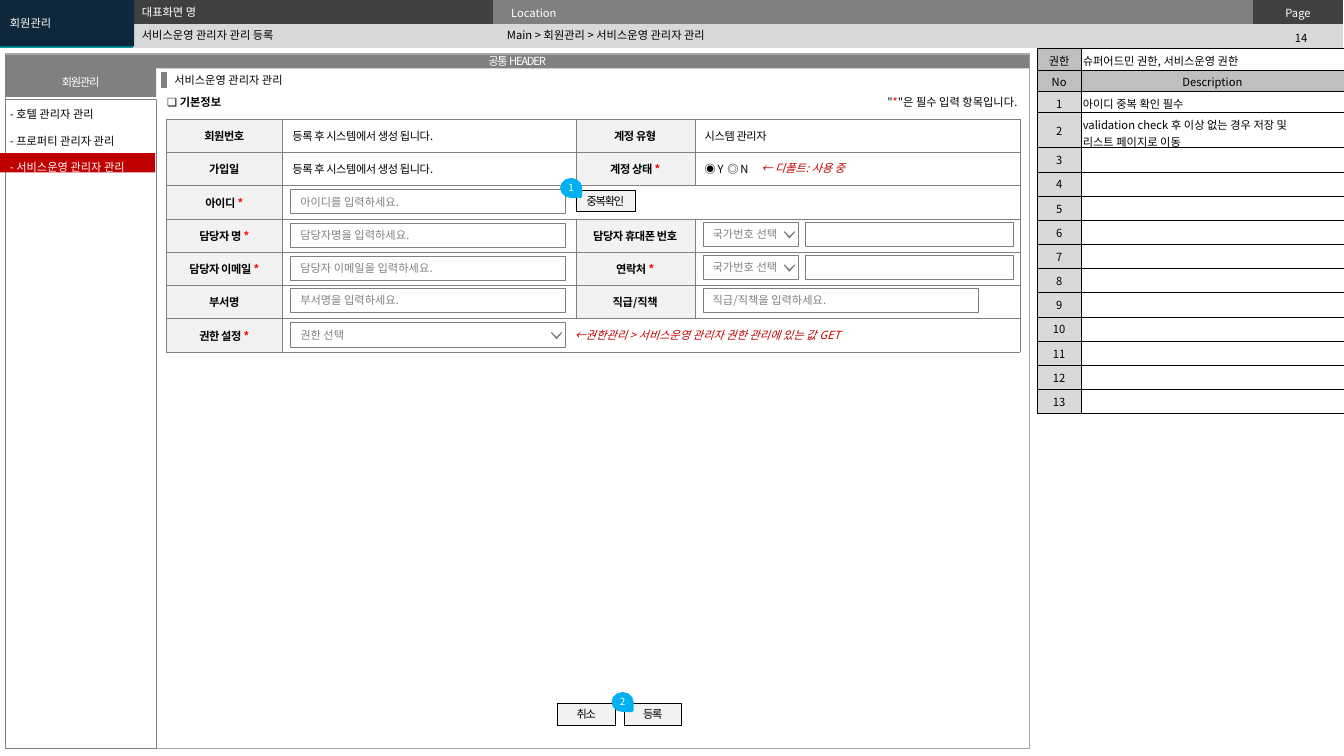
from dataclasses import dataclass
from lxml.etree import SubElement
from pptx import Presentation
from pptx.dml.color import RGBColor
from pptx.enum.shapes import MSO_CONNECTOR as Line, MSO_SHAPE as Shape
from pptx.enum.text import MSO_ANCHOR as Anchor, PP_ALIGN as Align
from pptx.oxml.ns import qn
from pptx.util import Inches, Pt


@dataclass(frozen=True)
class Theme:
    font: str = "Noto Sans CJK KR"
    size: float = 8
    badge_size: float = 7
    black: str = "000000"
    white: str = "FFFFFF"
    navy: str = "0E273B"
    teal: str = "009CA6"
    dark: str = "404040"
    chevron: str = "5F5F5F"
    gray: str = "808080"
    frame: str = "A6A6A6"
    heading: str = "BFBFBF"
    light: str = "D9D9D9"
    pale: str = "F2F2F2"
    red: str = "C00000"
    star: str = "FF0000"
    sky: str = "00B0F0"
    plain_table: str = "{2D5ABB26-0587-4C30-8999-92F81FD0307C}"


THEME = Theme()
WIDE = (0.1, 0.05, 0.1, 0.05)
NONE = (0, 0, 0, 0)


def write(frame, text, size=THEME.size, color=THEME.black, last_color=None, bold=False,
          italic=False, align=Align.LEFT, spacing=0, line_spacing=None):
    """Fill a text frame line by line; each asterisk is set in the star colour."""
    lines = text.split("\n")
    for number, line in enumerate(lines):
        para = frame.paragraphs[0] if number == 0 else frame.add_paragraph()
        para.alignment = align
        if line_spacing:
            para.line_spacing = line_spacing
        base = last_color if last_color and number == len(lines) - 1 else color
        for part in line.replace("*", "\0*\0").split("\0"):
            if not part:
                continue
            run = para.add_run()
            run.text = part
            font = run.font
            font.size, font.bold, font.italic = Pt(size), bold, italic
            font.color.rgb = RGBColor.from_string(THEME.star if part == "*" else base)
            font.name = THEME.font
            props = run._r.get_or_add_rPr()
            SubElement(props, qn("a:ea"), typeface=THEME.font)
            if spacing:
                props.set("spc", str(round(spacing * 100)))
        if not line:
            SubElement(para._p, qn("a:endParaRPr"), sz=str(round(size * 100)))


class Screen:
    def __init__(self, slide, theme):
        self.slide, self.theme = slide, theme

    def paint(self, shape, fill, line, weight=0.25):
        shape.shadow.inherit = False
        for part, color in ((shape.fill, fill), (shape.line.fill, line)):
            if color:
                part.solid()
                part.fore_color.rgb = RGBColor.from_string(color)
            else:
                part.background()
        if line:
            shape.line.width = Pt(weight)

    def fit(self, frame, insets, anchor):
        frame.word_wrap = True
        frame.vertical_anchor = anchor
        (frame.margin_left, frame.margin_top,
         frame.margin_right, frame.margin_bottom) = map(Inches, insets)

    def label(self, text, x, y, w, h=0.24, anchor=Anchor.TOP, **style):
        frame = self.slide.shapes.add_textbox(*map(Inches, (x, y, w, h))).text_frame
        self.fit(frame, WIDE, anchor)
        write(frame, text, **style)

    def box(self, x, y, w, h, text="", fill=None, line=None, insets=WIDE, **style):
        shape = self.slide.shapes.add_shape(Shape.RECTANGLE, *map(Inches, (x, y, w, h)))
        self.paint(shape, fill, line)
        self.fit(shape.text_frame, insets, Anchor.MIDDLE)
        if text:
            write(shape.text_frame, text, **style)

    def field(self, x, y, w=2.73, hint=""):
        self.box(x, y, w, 0.24, hint, self.theme.white, self.theme.gray, color=self.theme.gray)

    def select(self, x, y, w, hint):
        self.field(x, y, w, hint)
        tip_x, tip_y = x + w - 0.09, y + 0.12
        arms = [(0.05, -0.02), (0, 0.03), (-0.05, -0.02), (0, 0.04)]
        points = [(Inches(tip_x + dx), Inches(tip_y + dy)) for dx, dy in arms]
        outline = self.slide.shapes.build_freeform(*points[0])
        outline.add_line_segments(points[1:], close=True)
        self.paint(outline.convert_to_shape(), self.theme.chevron, self.theme.gray, 0.75)

    def button(self, text, x, y, w):
        self.box(x, y, w, 0.21, text, self.theme.pale, self.theme.black, NONE,
                 align=Align.CENTER, spacing=-0.9)

    def badge(self, number, x, y):
        drop = self.slide.shapes.add_shape(Shape.TEAR, *map(Inches, (x, y, 0.17, 0.19)))
        drop.rotation = 90
        self.paint(drop, self.theme.sky, self.theme.sky, 2)
        self.fit(drop.text_frame, NONE, Anchor.MIDDLE)
        drop.text_frame._txBody.bodyPr.set("vert", "vert270")
        write(drop.text_frame, number, self.theme.badge_size, self.theme.white,
              align=Align.CENTER)

    def rule(self, x, top, bottom, color, weight):
        line = self.slide.shapes.add_connector(
            Line.STRAIGHT, *map(Inches, (x, top, x, bottom)))
        line.line.color.rgb = RGBColor.from_string(color)
        line.line.width = Pt(weight)
        SubElement(line._element.spPr, qn("a:effectLst"))

    def table(self, x, y, widths, heights):
        grid = self.slide.shapes.add_table(
            len(heights), len(widths),
            *map(Inches, (x, y, sum(widths), sum(heights)))).table
        grid.first_row = grid.horz_banding = False
        grid._tbl.tblPr.find(qn("a:tableStyleId")).text = self.theme.plain_table
        for column, width in zip(grid.columns, widths):
            column.width = Inches(width)
        for row, height in zip(grid.rows, heights):
            row.height = Inches(height)
        return grid

    def cell(self, cell, text="", fill=None, border=None, weight=0.25, insets=WIDE,
             anchor=Anchor.MIDDLE, **style):
        props = cell._tc.get_or_add_tcPr()
        for side in ("a:lnL", "a:lnR", "a:lnT", "a:lnB") if border else ():
            edge = SubElement(props, qn(side), w=str(Pt(weight)))
            SubElement(SubElement(edge, qn("a:solidFill")), qn("a:srgbClr"), val=border)
        if fill:
            cell.fill.solid()
            cell.fill.fore_color.rgb = RGBColor.from_string(fill)
        (cell.margin_left, cell.margin_top,
         cell.margin_right, cell.margin_bottom) = map(Inches, insets)
        cell.vertical_anchor = anchor
        write(cell.text_frame, text, **style)


def draw_header(screen, t):
    bar = screen.table(0, 0, [1.32, 3.57, 7.54, 0.89], [0.23, 0.23])
    bar.cell(0, 0).merge(bar.cell(1, 0))
    titles = [("", t.teal), ("", t.dark), ("Location", t.gray), ("Page", t.dark)]
    for col, (title, fill) in enumerate(titles):
        screen.cell(bar.cell(0, col), title, fill, insets=(0.18, 0.04, 0.18, 0.04),
                    anchor=Anchor.TOP, color=t.white,
                    align=Align.CENTER if title == "Page" else Align.LEFT)
        screen.cell(bar.cell(1, col), fill=t.light if col else t.teal, insets=NONE)
    screen.label("14", 12.48, 0.26, 0.85, align=Align.CENTER)
    screen.label("서비스운영 관리자 관리 등록", 1.31, 0.24, 3.63, 0.22, Anchor.MIDDLE)
    screen.label("Main > 회원관리 > 서비스운영 관리자 관리", 4.93, 0.23, 7.38,
                 anchor=Anchor.MIDDLE)
    screen.label("대표화면 명", 1.31, 0, 3.62, 0.22, color=t.white)
    screen.box(0, 0, 1.33, 0.46, "회원관리", t.navy, color=t.white)


def draw_frame(screen, t):
    screen.box(0.05, 0.53, 10.16, 6.89, line=t.frame)
    screen.box(0.05, 0.98, 1.5, 6.44, line=t.gray)
    for text, y, w, h in (("공통 HEADER", 0.54, 10.16, 0.14), ("회원관리", 0.67, 1.5, 0.29)):
        screen.box(0.05, y, w, h, text, t.gray, insets=(0.04, 0.05, 0.04, 0.05),
                   color=t.white, align=Align.CENTER, spacing=-0.9)
    # Side menu with the current entry highlighted
    screen.box(0, 1.52, 1.54, 0.19, fill=t.red)
    screen.label("- 호텔 관리자 관리\n- 프로퍼티 관리자 관리\n- 서비스운영 관리자 관리",
                 0, 0.88, 1.44, 0.87, last_color=t.white, line_spacing=2.0)


def draw_description(screen, t):
    notes = ["아이디 중복 확인 필수",
             "validation check 후 이상 없는 경우 저장 및\n리스트 페이지로 이동"] + [""] * 11
    rows = [("권한", "슈퍼어드민 권한, 서비스운영 권한"), ("No", "Description")]
    rows += [(str(number), note) for number, note in enumerate(notes, 1)]
    panel = screen.table(10.29, 0.48, [0.43, 2.61], [0.21] * 3 + [0.22] + [0.24] * 11)
    for row, (key, note) in enumerate(rows):
        look = dict(border=t.black, weight=0.5, insets=(0.02, 0.04, 0.02, 0.04))
        screen.cell(panel.cell(row, 0), key, t.heading if row < 2 else t.light,
                    align=Align.CENTER, **look)
        screen.cell(panel.cell(row, 1), note, t.heading if row == 1 else None,
                    anchor=Anchor.TOP, align=Align.CENTER if row == 1 else Align.LEFT, **look)


def draw_form(screen, t):
    screen.label("서비스운영 관리자 관리", 1.63, 0.68, 2.41)
    screen.rule(1.63, 0.71, 0.87, t.gray, 4.5)
    screen.label("❏ 기본정보", 1.56, 0.9, 0.76, bold=True)
    screen.label('"*"은 필수 입력 항목입니다.', 8.53, 0.9, 1.66, align=Align.RIGHT)

    # Form grid: labels in even columns, values in odd ones
    pending = "등록 후 시스템에서 생성 됩니다."
    rows = [("회원번호", pending, "계정 유형", "시스템 관리자"),
            ("가입일", pending, "계정 상태 *", "◉ Y  ◎ N"),
            ("아이디 *", ""),
            ("담당자 명 *", "", "담당자 휴대폰 번호", ""),
            ("담당자 이메일 *", "", "연락처 *", ""),
            ("부서명", "", "직급/직책", ""),
            ("권한 설정 *", "")]
    form = screen.table(1.65, 1.18, [1.15, 2.91, 1.18, 3.23], [0.33] * len(rows))
    for row, entries in enumerate(rows):
        if len(entries) == 2:
            form.cell(row, 1).merge(form.cell(row, 3))
        for col, text in enumerate(entries + ("",) * (4 - len(entries))):
            is_label = col % 2 == 0 and bool(text)
            screen.cell(form.cell(row, col), text, t.pale if is_label else t.white, t.gray,
                        bold=is_label, spacing=-0.3,
                        align=Align.CENTER if is_label else Align.LEFT)

    # Input fields
    for x, y, hint in ((2.88, 1.88, "아이디를 입력하세요."),
                       (2.88, 2.21, "담당자명을 입력하세요."),
                       (2.88, 2.54, "담당자 이메일을 입력하세요."),
                       (2.88, 2.86, "부서명을 입력하세요."),
                       (6.97, 2.86, "직급/직책을 입력하세요.")):
        screen.field(x, y, hint=hint)
    for y in (2.2, 2.53):
        screen.select(6.97, y, 0.95, "국가번호 선택")
        screen.field(7.99, y, 2.06)
    screen.select(2.88, 3.2, 2.73, "권한 선택")

    # Remarks, buttons and numbered badges
    screen.label("← 디폴트: 사용 중", 7.45, 1.55, 1.07, color=t.red, italic=True)
    screen.label("←권한관리 > 서비스운영 관리자 권한 관리에 있는 값 GET", 5.6, 3.21, 2.94,
                 color=t.red, italic=True)
    screen.button("중복확인", 5.71, 1.89, 0.59)
    screen.button("취소", 5.53, 6.98, 0.57)
    screen.button("등록", 6.19, 6.98, 0.57)
    screen.badge("1", 5.58, 1.77)
    screen.badge("2", 6.09, 6.87)


def main():
    deck = Presentation()
    deck.slide_width, deck.slide_height = Inches(13.33), Inches(7.5)
    screen = Screen(deck.slides.add_slide(deck.slide_layouts[6]), THEME)
    for draw in (draw_header, draw_frame, draw_description, draw_form):
        draw(screen, THEME)
    deck.save("out.pptx")


if __name__ == "__main__":
    main()
